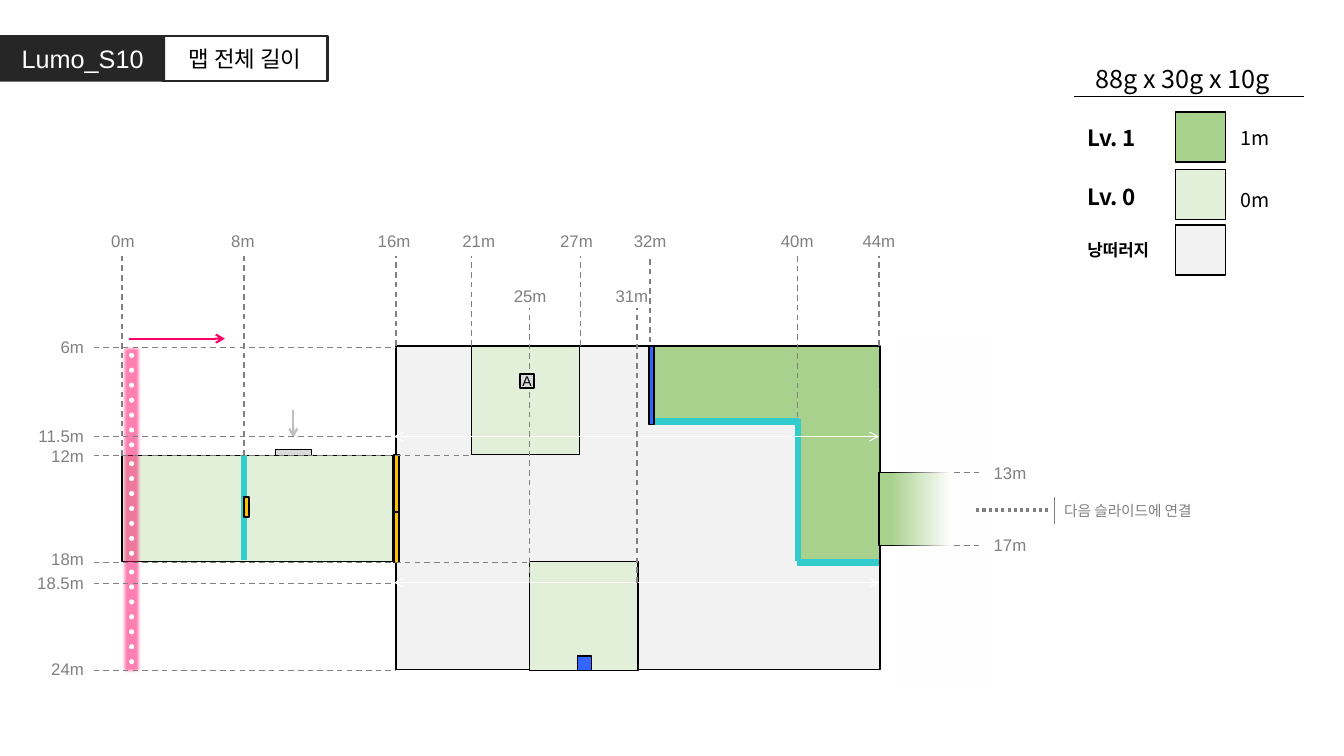
from dataclasses import dataclass
from typing import Optional

from lxml import etree
from pptx import Presentation
from pptx.dml.color import RGBColor as RGB
from pptx.enum.dml import MSO_LINE as Dash
from pptx.enum.shapes import MSO_CONNECTOR as Conn, MSO_SHAPE as Kind
from pptx.enum.text import MSO_ANCHOR as Anchor, MSO_AUTO_SIZE as Auto, PP_ALIGN as Align
from pptx.oxml.ns import qn
from pptx.util import Pt

BLACK = RGB(0x00, 0x00, 0x00)
WHITE = RGB(0xFF, 0xFF, 0xFF)
DARK = RGB(0x26, 0x26, 0x26)
GRAY = RGB(0x80, 0x80, 0x80)
SILVER = RGB(0xBF, 0xBF, 0xBF)
STONE = RGB(0xD9, 0xD9, 0xD9)
CLIFF = RGB(0xF2, 0xF2, 0xF2)
LOW = RGB(0xE2, 0xF0, 0xD9)
HIGH = RGB(0xA9, 0xD1, 0x8E)
CYAN = RGB(0x33, 0xCC, 0xCC)
GOLD = RGB(0xFF, 0xC0, 0x00)
BLUE = RGB(0x33, 0x66, 0xFF)
PINK = RGB(0xFF, 0x00, 0x66)
SANS = "Arial"
NOTO = "Noto Sans CJK KR"


@dataclass
class Tile:
    x: float
    y: float
    w: float
    h: float
    fill: Optional[RGB]
    edge: Optional[RGB] = BLACK
    width: float = 1
    kind: Kind = Kind.RECTANGLE


@dataclass
class Line:
    x1: float
    y1: float
    x2: float
    y2: float
    color: RGB = GRAY
    width: float = 1
    dash: Optional[Dash] = None
    ends: tuple = ()


@dataclass
class Column:
    name: str
    x: float
    mid: float
    end: float
    top: float = 161.3
    start: float = 182.9


@dataclass
class Row:
    name: str
    y: float
    end: float
    rise: float = 11.5


@dataclass
class Level:
    name: str
    size: float
    fill: RGB
    y: float
    top: float
    note: str = ""
    side: float = 0


prs = Presentation()
prs.slide_width, prs.slide_height = Pt(960), Pt(540)
slide = prs.slides.add_slide(prs.slide_layouts[6])


def draw(tile: Tile):
    shape = slide.shapes.add_shape(tile.kind, Pt(tile.x), Pt(tile.y), Pt(tile.w), Pt(tile.h))
    shape.shadow.inherit = False
    if tile.fill is None:
        shape.fill.background()
    else:
        shape.fill.solid()
        shape.fill.fore_color.rgb = tile.fill
    if tile.edge is None:
        shape.line.fill.background()
    else:
        shape.line.color.rgb = tile.edge
        shape.line.width = Pt(tile.width)
    return shape


def link(line: Line) -> None:
    conn = slide.shapes.add_connector(
        Conn.STRAIGHT, Pt(line.x1), Pt(line.y1), Pt(line.x2), Pt(line.y2))
    conn.line.color.rgb = line.color
    conn.line.width = Pt(line.width)
    if line.dash is not None:
        conn.line.dash_style = line.dash
    for end in line.ends:
        etree.SubElement(conn.line._get_or_add_ln(), qn(f"a:{end}"), type="arrow")
    etree.SubElement(conn._element.spPr, qn("a:effectLst"))


def write(shape, text: str, size: float, color: RGB, face: str = SANS,
          align: Align = Align.CENTER, bold: bool = False) -> None:
    para = shape.text_frame.paragraphs[0]
    para.text = text
    para.alignment = align
    font = para.font
    font.size, font.bold, font.name = Pt(size), bold, face
    font.color.rgb = color
    etree.SubElement(para._p.pPr.find(qn("a:defRPr")), qn("a:ea"), typeface=NOTO)


def label(text: str, x: float, y: float, w: float, h: float, size: float = 12,
          color: RGB = GRAY, face: str = SANS, align: Align = Align.LEFT,
          bold: bool = False) -> None:
    box = slide.shapes.add_textbox(Pt(x), Pt(y), Pt(w), Pt(h))
    box.text_frame.word_wrap = True
    box.text_frame.auto_size = Auto.SHAPE_TO_FIT_TEXT
    write(box, text, size, color, face, align, bold)


# Title
for tile, text, size, color in [
    (Tile(0, 25.2, 118.1, 33.1, DARK, None), "Lumo_S10", 18, WHITE),
    (Tile(115.9, 25.9, 118.1, 31.7, None, DARK, 1.5), "맵 전체 길이", 16, BLACK),
]:
    head = draw(tile)
    head.text_frame.vertical_anchor = Anchor.MIDDLE
    write(head, text, size, color)

# Legend
label("88g x 30g x 10g", 765.4, 41.8, 158.4, 28.8, 18, BLACK, NOTO, Align.CENTER)
link(Line(767.5, 69.1, 931.7, 69.1, BLACK))
for lev in [
    Level("Lv. 1", 16, HIGH, 79.9, 85, "1m", 86.4),
    Level("Lv. 0", 16, LOW, 121, 127.4, "0m", 131),
    Level("낭떠러지", 12, CLIFF, 160.6, 167.8),
]:
    draw(Tile(839.5, lev.y, 36, 36, lev.fill))
    label(lev.name, 769.7, lev.top, 77, 26, lev.size, BLACK, NOTO, bold=True)
    if lev.note:
        label(lev.note, 879.1, lev.side, 51.1, 24, 14, BLACK, NOTO)

# Ground
for tile in [
    Tile(283, 247, 345.6, 231.1, CLIFF),
    Tile(87.1, 325.4, 193.7, 75.6, LOW),
    Tile(196.6, 321.1, 25.9, 4.3, STONE),
    Tile(337, 247.7, 77, 77, LOW),
    Tile(378, 401, 77.8, 77.8, LOW),
    Tile(467.3, 247.7, 161.3, 51.8, HIGH),
    Tile(571.7, 299.5, 56.9, 102.2, HIGH),
    Tile(571.7, 277.2, 56.2, 102.2, HIGH, None),
    Tile(627.8, 337.7, 74.2, 51.8, HIGH),
]:
    draw(tile)

# Exit fading to white
fade = draw(Tile(637.2, 240.5, 76.3, 252, WHITE, None))
fade.fill.gradient()
fade.fill.gradient_angle = 0
stops = fade._element.spPr.find(qn("a:gradFill")).find(qn("a:gsLst"))
for stop in list(stops):
    stops.remove(stop)
for pos, alpha in [(0, 0), (55, 100), (100, 100)]:
    stop = etree.SubElement(stops, qn("a:gs"), pos=str(pos * 1000))
    tint = etree.SubElement(stop, qn("a:srgbClr"), val=str(WHITE))
    etree.SubElement(tint, qn("a:alpha"), val=str(alpha * 1000))

# Walls and gates
for ends in [
    (174.2, 324.7, 174.2, 400.3),
    (467.3, 301, 571, 301),
    (570.2, 299.5, 570.2, 401),
    (569.5, 401.8, 627.8, 401.8),
]:
    link(Line(*ends, CYAN, 4.5))
for x, y, h in [(174.2, 355, 14.4), (281.5, 365.8, 36), (281.5, 324.7, 41)]:
    draw(Tile(x, y, 3.6, h, GOLD))

# Glowing start strip
strip = draw(Tile(86.4, 246, 15.6, 236, PINK, None))
tint = strip._element.spPr.find(qn("a:solidFill"))[0]
etree.SubElement(tint, qn("a:alpha"), val="50000")
glow = strip._element.spPr.find(qn("a:effectLst"))
etree.SubElement(glow, qn("a:softEdge"), rad=str(Pt(2.5)))
for part in range(3):
    for dot in range(7):
        draw(Tile(92.2, 252 + 77.4 * part + 10.67 * dot, 3.6, 3.6, WHITE, None, kind=Kind.OVAL))

# Arrows
both = ("headEnd", "tailEnd")
for line in [
    Line(92.2, 241.9, 160.6, 241.9, PINK, 1.5, ends=("tailEnd",)),
    Line(209.5, 293, 209.5, 312.5, SILVER, 1.5, ends=("tailEnd",)),
    Line(281.5, 311.8, 627.8, 311.8, WHITE, 0.75, ends=both),
    Line(281.5, 416.2, 627.8, 416.2, WHITE, 0.75, ends=both),
]:
    link(line)

# Distance guides across the top
for col in [
    Column("0m", 87.1, 87.8, 325.4),
    Column("8m", 174.2, 173.5, 325.4),
    Column("16m", 283, 281.5, 247),
    Column("21m", 337, 342, 247),
    Column("27m", 414.7, 411.8, 247),
    Column("32m", 464.4, 464.4, 300.2),
    Column("40m", 569.5, 569.5, 298.1),
    Column("44m", 627.8, 627.8, 247),
    Column("25m", 378, 378.7, 416.2, 200.9, 220.3),
    Column("31m", 455, 451.4, 416.2, 200.9, 220.3),
]:
    link(Line(col.x, col.end, col.x, col.start, dash=Dash.DASH))
    label(col.name, col.mid - 21, col.top, 42, 21.6, align=Align.CENTER)

# Distance guides on the left and right
for row in [
    Row("6m", 248.4, 283),
    Row("11.5m", 311.8, 282.2),
    Row("12m", 325.4, 337, 10.8),
    Row("18m", 401.8, 378, 13.7),
    Row("18.5m", 416.9, 281.5),
    Row("24m", 478.8, 283),
]:
    link(Line(67, row.y, row.end, row.y, dash=Dash.DASH))
    label(row.name, 8, row.y - row.rise, 59, 21.6, align=Align.RIGHT)
for row in [Row("13m", 337.7, 702, 10.8), Row("17m", 389.5, 702, 10.8)]:
    link(Line(681.8, row.y, row.end, row.y, dash=Dash.DASH))
    label(row.name, 702.7, row.y - row.rise, 42, 21.6)

# Link to the next slide
link(Line(748.8, 364.3, 695.5, 364.3, width=2.25, dash=Dash.ROUND_DOT))
link(Line(753.1, 355, 753.1, 374.4))
label("다음 슬라이드에 연결", 753.1, 355, 125.3, 20.2, 10.5)

# Markers
draw(Tile(412.6, 468.7, 10.1, 10.1, BLUE))
draw(Tile(463.7, 247, 3.6, 56.2, BLUE))
mark = draw(Tile(371.5, 267.1, 10.1, 10.1, STONE))
frame = mark.text_frame
frame.word_wrap = False
frame.vertical_anchor = Anchor.MIDDLE
frame.margin_left = frame.margin_right = frame.margin_top = frame.margin_bottom = 0
write(mark, "A", 10, BLACK)

prs.save("out.pptx")
